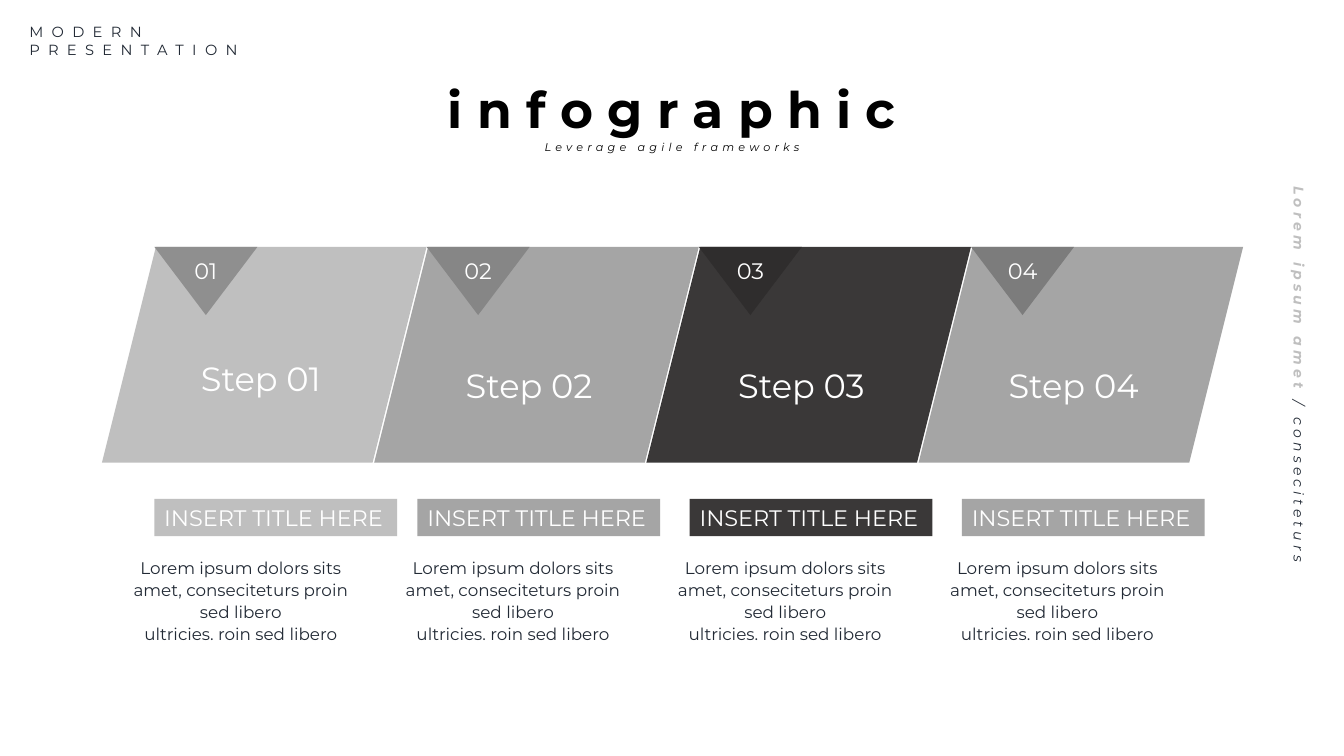
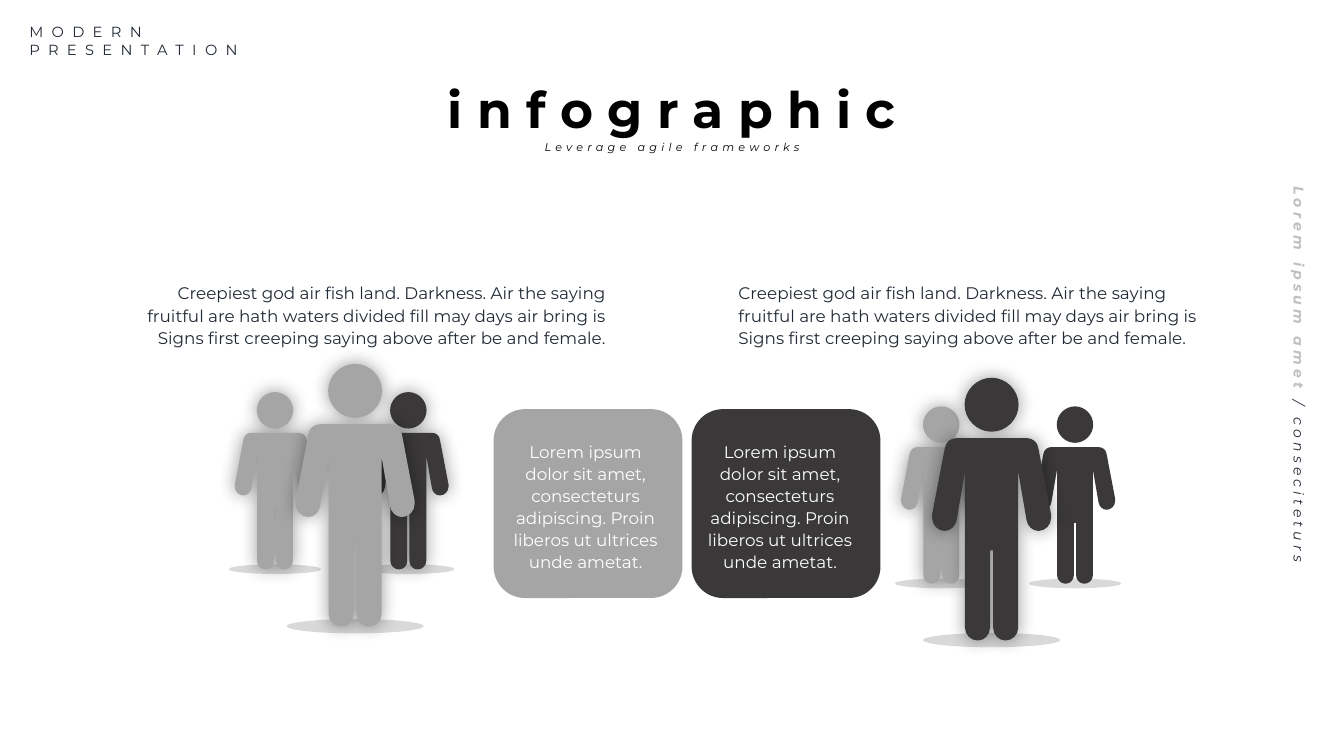
from dataclasses import dataclass

from lxml import etree
from pptx import Presentation
from pptx.dml.color import RGBColor
from pptx.enum.shapes import MSO_SHAPE as Preset
from pptx.enum.text import MSO_ANCHOR as Anchor, MSO_AUTO_SIZE as AutoSize, PP_ALIGN as Align
from pptx.oxml.ns import qn
from pptx.util import Cm, Pt

FONT = "Montserrat"
BLACK = RGBColor(0x00, 0x00, 0x00)
WHITE = RGBColor(0xFF, 0xFF, 0xFF)
INK = RGBColor(0x22, 0x2A, 0x35)
CHARCOAL = RGBColor(0x3A, 0x38, 0x38)
GREY = RGBColor(0xA5, 0xA5, 0xA5)
SILVER = RGBColor(0xBF, 0xBF, 0xBF)
GROUND = RGBColor(0xD9, 0xD9, 0xD9)

STEP_PITCH = 6.86
STEP_TEXT = ["Lorem ipsum dolors sits amet, conseciteturs proin sed libero",
             "ultricies. roin sed libero"]
BLOCK_TEXT = ["Lorem ipsum dolor sit amet, consecteturs adipiscing. Proin liberos ut ultrices",
              "unde ametat."]
STORY = ("Creepiest god air fish land. Darkness. Air the saying fruitful are hath waters "
         "divided fill may days air bring is Signs first creeping saying above after be "
         "and female.")

# Right half of a figure in cm from its top centre: one point is a line, three a Bezier curve
HALF_BODY = [
    [(0.88, 1.52)],
    [(1.03, 1.52), (1.16, 1.62), (1.18, 1.78)],
    [(1.5, 3.45)],
    [(1.5, 3.53)],
    [(1.5, 3.71), (1.35, 3.86), (1.18, 3.86)],
    [(1.03, 3.86), (0.9, 3.73), (0.88, 3.58)],
    [(0.67, 2.36)],
    [(0.67, 6.3)],
    [(0.67, 6.48), (0.52, 6.62), (0.35, 6.62)],
    [(0.18, 6.62), (0.04, 6.48), (0.04, 6.3)],
    [(0.04, 4.35)],
]
HALF_HEAD = [
    [(0, 0)],
    [(0.37, 0), (0.68, 0.31), (0.68, 0.68)],
    [(0.68, 1.05), (0.37, 1.36), (0, 1.36)],
]


@dataclass
class Step:
    number: str
    color: RGBColor
    corner_color: RGBColor
    label_offset: float = 1.85
    label_top: float = 9.07
    heading_offset: float = 1.09


@dataclass
class Person:
    center: float
    top: float
    color: RGBColor
    scale: float = 0.675
    shadow: bool = True


STEPS = [
    Step("01", SILVER, RGBColor(0x8F, 0x8F, 0x8F), 1.95, 8.89, 1.32),
    Step("02", GREY, RGBColor(0x86, 0x86, 0x86)),
    Step("03", CHARCOAL, RGBColor(0x2F, 0x2D, 0x2D)),
    Step("04", GREY, RGBColor(0x7C, 0x7C, 0x7C)),
]
PEOPLE = [
    Person(27.09, 10.24, CHARCOAL, shadow=False),
    Person(23.72, 10.24, GREY),
    Person(10.29, 9.88, CHARCOAL),
    Person(6.93, 9.88, GREY),
    Person(24.99, 9.52, CHARCOAL, scale=1),
    Person(8.95, 9.17, GREY, scale=1),
]


def style_span(span, size, color, bold=False, italic=False, spacing=0):
    font = span.font
    font.name, font.size = FONT, Pt(size)
    font.bold, font.italic = bold, italic
    font.color.rgb = color
    if spacing:
        span._r.get_or_add_rPr().set("spc", str(spacing * 100))


def write(box, lines, size, color, align=Align.LEFT, leading=1.0, **look):
    """Fill a shape with one paragraph per line, all in one style."""
    frame = box.text_frame
    frame.text = "\n".join(lines)
    for para in frame.paragraphs:
        para.alignment, para.line_spacing = align, leading
        for span in para.runs:
            style_span(span, size, color, **look)


def add_box(page, left, top, width, height, margin=None):
    box = page.shapes.add_textbox(Cm(left), Cm(top), Cm(width), Cm(height))
    frame = box.text_frame
    frame.word_wrap = True
    if margin is not None:
        frame.margin_left = frame.margin_right = Cm(margin)
        frame.margin_top = frame.margin_bottom = Cm(margin)
    return box


def paint(shape, color):
    shape.shadow.inherit = False
    shape.fill.solid()
    shape.fill.fore_color.rgb = color
    shape.line.fill.background()
    return shape


def add_preset(page, preset, left, top, width, height, color):
    shape = page.shapes.add_shape(preset, Cm(left), Cm(top), Cm(width), Cm(height))
    return paint(shape, color)


def add_outline(page, contours, color):
    """Draw closed contours, given as points in cm, as one shape."""
    first, *others = [[(Cm(x), Cm(y)) for x, y in contour] for contour in contours]
    builder = page.shapes.build_freeform(*first[0])
    builder.add_line_segments(first[1:], close=True)
    for contour in others:
        builder.move_to(*contour[0])
        builder.add_line_segments(contour[1:], close=True)
    return paint(builder.convert_to_shape(), color)


def bend(shape, lengths):
    """Join every three lines of a freeform that stand for a curve into a Bezier curve."""
    lines = iter(list(shape._element.spPr.iter(qn("a:lnTo"))))
    for length in lengths:
        group = [next(lines) for _ in range(length)]
        if length == 3:
            curve = etree.Element(qn("a:cubicBezTo"))
            group[0].addprevious(curve)
            for line in group:
                curve.append(line[0])
                line.getparent().remove(line)


def add_glow_shadow(shape):
    effects = shape._element.spPr.find(qn("a:effectLst"))
    shadow = etree.SubElement(effects, qn("a:outerShdw"), blurRad=str(Pt(13)), dist="0",
                              algn="ctr", rotWithShape="0")
    tint = etree.SubElement(shadow, qn("a:srgbClr"), val=str(BLACK))
    etree.SubElement(tint, qn("a:alpha"), val="40000")


def mirrored_points(half):
    points = [point for segment in half for point in segment]
    return points + [(-x, y) for x, y in reversed(points)]


def mirrored_lengths(half):
    lengths = [len(segment) for segment in half[1:]]
    return lengths + [1] + lengths[::-1]


def add_person(page, person):
    contours = [[(person.center + x * person.scale, person.top + y * person.scale)
                 for x, y in mirrored_points(half)] for half in (HALF_BODY, HALF_HEAD)]
    shape = add_outline(page, contours, person.color)
    bend(shape, mirrored_lengths(HALF_BODY) + mirrored_lengths(HALF_HEAD))
    if person.shadow:
        add_glow_shadow(shape)


def add_ground(page, person):
    width, height = 3.45 * person.scale, 0.36 * person.scale
    add_preset(page, Preset.OVAL, person.center - width / 2, person.top + 6.43 * person.scale,
               width, height, GROUND)


def add_page(deck):
    """Add a slide with the title, subtitle, header and side text."""
    page = deck.slides.add_slide(deck.slide_layouts[5])
    title = page.shapes.title
    title.left, title.top, title.width, title.height = Cm(8.74), Cm(1.85), Cm(16.38), Cm(1.8)
    title.text_frame.auto_size = AutoSize.NONE
    title.text_frame.vertical_anchor = Anchor.TOP
    write(title, ["i n f o g r a p h i c"], 36, BLACK, Align.CENTER, bold=True)

    write(add_box(page, 12.37, 3.38, 9.14, 0.46, margin=0), ["Leverage agile frameworks"],
          8, BLACK, Align.CENTER, 1.5, italic=True, spacing=3)
    write(add_box(page, 0.74, 0.58, 7.29, 0.89, margin=0), ["MODERN", "PRESENTATION"],
          10.5, INK, spacing=6)

    side = add_box(page, 23.67, 9.17, 18.19, 0.71)
    side.rotation = 90
    para = side.text_frame.paragraphs[0]
    para.alignment, para.line_spacing = Align.CENTER, 1.1
    for text, color, bold in (("Lorem ipsum amet ", SILVER, True),
                              ("/ conseciteturs ", INK, False)):
        span = para.add_run()
        span.text = text
        style_span(span, 10, color, bold=bold, italic=True, spacing=3)
    return page


def add_corner(page, left, step):
    top, width, height = 6.22, 2.6, 1.72
    corner = add_outline(page, [[(left, top), (left + width, top),
                                 (left + width / 2, top + height)]], step.corner_color)
    frame = corner.text_frame
    frame.vertical_anchor = Anchor.MIDDLE
    frame.margin_left = frame.margin_right = Cm(0.25)
    frame.margin_top, frame.margin_bottom = Cm(0), Cm(0.5)
    write(corner, [step.number], 16, WHITE, Align.CENTER)


def add_step(page, left, step):
    add_preset(page, Preset.PARALLELOGRAM, left, 6.22, 8.18, 5.44, step.color)
    add_corner(page, left + 1.32, step)
    write(add_box(page, left + step.label_offset, step.label_top, 4.11, 1.27),
          [f"Step {step.number}"], 24, WHITE, Align.CENTER)

    heading = add_preset(page, Preset.RECTANGLE, left + step.heading_offset, 12.57,
                         6.12, 0.94, step.color)
    heading.text_frame.word_wrap = False
    heading.text_frame.vertical_anchor = Anchor.TOP
    write(heading, ["INSERT TITLE HERE"], 16, WHITE)

    write(add_box(page, left + 0.53, 13.87, 5.94, 2.51), STEP_TEXT, 12, INK, Align.CENTER, 1.1)


def add_steps_page(deck):
    page = add_page(deck)
    for index, step in enumerate(STEPS):
        add_step(page, 2.57 + index * STEP_PITCH, step)


def add_people_page(deck):
    page = add_page(deck)
    for person in PEOPLE:
        add_ground(page, person)
    for person in PEOPLE:
        add_person(page, person)

    for left, align in ((3.0, Align.RIGHT), (18.36, Align.LEFT)):
        write(add_box(page, left, 6.96, 12.52, 1.96), [STORY], 12, INK, align, 1.1)

    for left, text_left, color in ((12.44, 12.5, GREY), (17.43, 17.4, CHARCOAL)):
        add_preset(page, Preset.ROUNDED_RECTANGLE, left, 10.31, 4.76, 4.76, color)
        write(add_box(page, text_left, 10.95, 4.52, 3.63), BLOCK_TEXT, 12, WHITE,
              Align.CENTER, 1.1)


def main():
    deck = Presentation()
    deck.slide_width, deck.slide_height = Cm(33.87), Cm(19.05)
    add_steps_page(deck)
    add_people_page(deck)
    deck.save("out.pptx")


if __name__ == "__main__":
    main()
